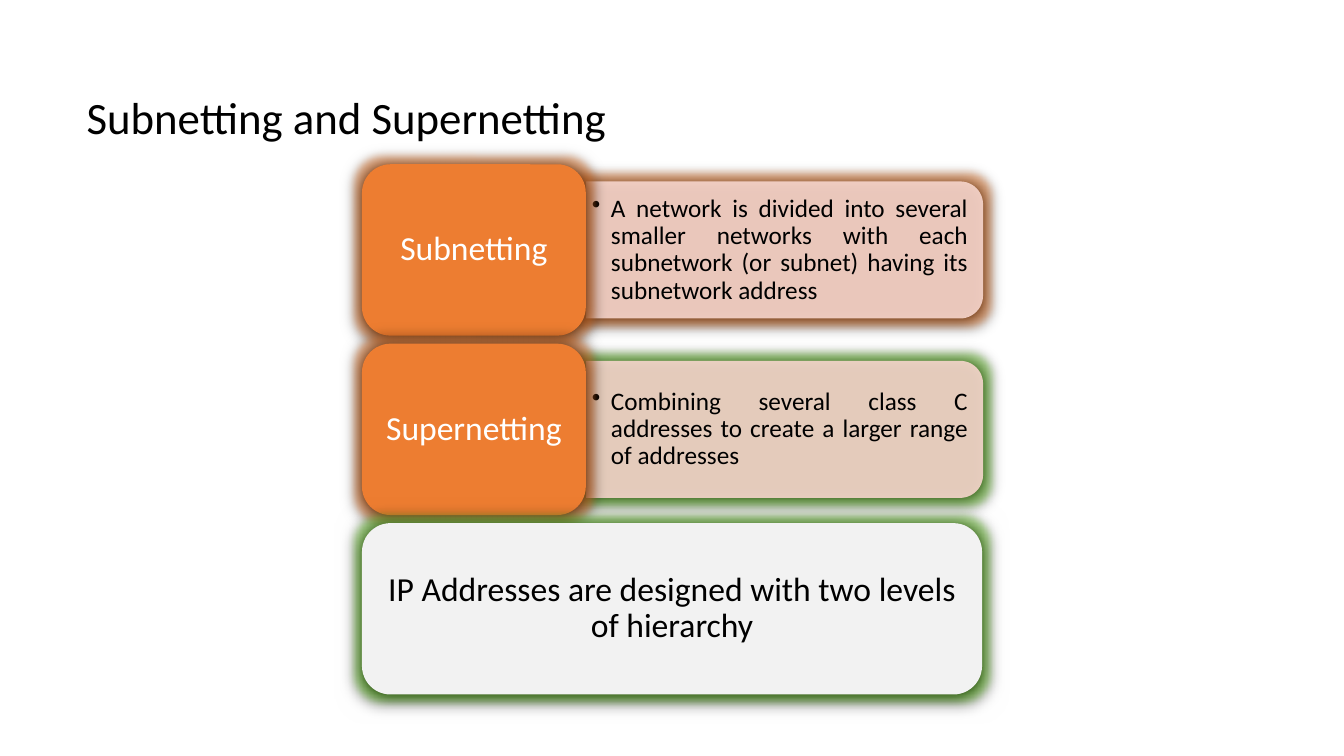
from dataclasses import dataclass

from lxml.etree import SubElement
from pptx import Presentation
from pptx.dml.color import RGBColor
from pptx.enum.shapes import MSO_SHAPE
from pptx.enum.text import MSO_ANCHOR, PP_ALIGN
from pptx.oxml.ns import qn
from pptx.util import Inches, Pt


@dataclass(frozen=True)
class Theme:
    """Colours, font and type sizes of the slide."""
    font: str = "Calibri"
    ink: str = "000000"
    paper: str = "FFFFFF"
    accent: str = "ED7D31"
    green: str = "70AD47"
    tint: str = "F8D7CE"
    grey: str = "F2F2F2"
    title: int = 32
    label: int = 24
    body: int = 18


def node(parent, tag, **attrs):
    """Add a DrawingML element with the given attributes."""
    return SubElement(parent, qn(f"a:{tag}"), {k: str(v) for k, v in attrs.items()})


class Deck:
    """Hold the theme and the slide, and draw each kind of element."""

    def __init__(self, theme):
        """Open a wide deck with one blank slide."""
        self.theme = theme
        self.file = Presentation()
        self.file.slide_width = Inches(13.33)
        self.file.slide_height = Inches(7.5)
        self.slide = self.file.slides.add_slide(self.file.slide_layouts[6])

    def label(self, shape, text, size, color, align, anchor=MSO_ANCHOR.MIDDLE):
        """Put one run of styled text in a shape."""
        frame = shape.text_frame
        frame.word_wrap = True
        frame.vertical_anchor = anchor
        para = frame.paragraphs[0]
        para.alignment = align
        para.line_spacing = 0.9
        run = para.add_run()
        run.text = text
        run.font.name = self.theme.font
        run.font.size = Pt(size)
        run.font.color.rgb = RGBColor.from_string(color)
        return para

    def title(self, text, *box):
        """Draw the slide title."""
        shape = self.slide.shapes.add_textbox(*map(Inches, box))
        self.label(shape, text, self.theme.title, self.theme.ink,
                   PP_ALIGN.LEFT, MSO_ANCHOR.BOTTOM)

    def block(self, kind, box, fill, glow):
        """Draw a filled shape with a glow and a soft shadow."""
        shape = self.slide.shapes.add_shape(kind, *map(Inches, box))
        shape.fill.solid()
        shape.fill.fore_color.rgb = RGBColor.from_string(fill)
        shape.line.fill.background()
        shape.shadow.inherit = False
        effects = shape._element.spPr.find(qn("a:effectLst"))
        halo = node(node(effects, "glow", rad=Pt(11)), "srgbClr", val=glow)
        node(halo, "satMod", val=175000)
        node(halo, "alpha", val=40000)
        shade = node(effects, "outerShdw", blurRad=Pt(8.5), dist=Pt(1),
                     dir=5400000, algn="ctr", rotWithShape=0)
        node(shade, "srgbClr", val=self.theme.ink)
        return shape

    def card(self, text, box, fill, glow, color):
        """Draw a rounded card with a centred label."""
        shape = self.block(MSO_SHAPE.ROUNDED_RECTANGLE, box, fill, glow)
        self.label(shape, text, self.theme.label, color, PP_ALIGN.CENTER)

    def panel(self, text, left, top, glow):
        """Draw a translucent side panel with a bulleted text."""
        width, height = 3.94, 1.36
        shift = (width - height) / 2
        shape = self.block(MSO_SHAPE.ROUND_2_SAME_RECTANGLE,
                           (left + shift, top - shift, height, width),
                           self.theme.tint, glow)
        shape.rotation = 90
        tone = shape._element.spPr.find(qn("a:solidFill"))[0]
        node(tone, "alpha", val=90000)
        note = self.slide.shapes.add_textbox(
            *map(Inches, (left - 0.01, top + 0.07, 3.87, 1.22)))
        frame = note.text_frame
        frame.margin_left = frame.margin_right = Inches(0.07)
        frame.margin_top = frame.margin_bottom = Inches(0.04)
        para = self.label(note, text, self.theme.body, self.theme.ink,
                          PP_ALIGN.JUSTIFY)
        props = para._p.get_or_add_pPr()
        props.set("marL", str(Inches(0.19)))
        props.set("indent", str(Inches(-0.19)))
        node(props, "buChar", char="•")


def main():
    """Build the slide and save it."""
    theme = Theme()
    deck = Deck(theme)
    deck.title("Subnetting and Supernetting", 0.76, 0.21, 7.18, 1.27)
    left, top, step, high = 3.59, 1.63, 1.78, 1.7
    rows = (
        ("Subnetting", "A network is divided into several smaller networks "
         "with each subnetwork (or subnet) having its subnetwork address",
         theme.accent),
        ("Supernetting", "Combining several class C addresses to create "
         "a larger range of addresses", theme.green),
    )
    for i, (name, text, glow) in enumerate(rows):
        y = top + i * step
        deck.panel(text, 5.81, y + 0.17, glow)
        deck.card(name, (left, y, 2.22, high), theme.accent, theme.accent,
                  theme.paper)
    deck.card("IP Addresses are designed with two levels of hierarchy",
              (left, top + len(rows) * step, 6.15, high), theme.grey,
              theme.green, theme.ink)
    deck.file.save("out.pptx")


if __name__ == "__main__":
    main()
